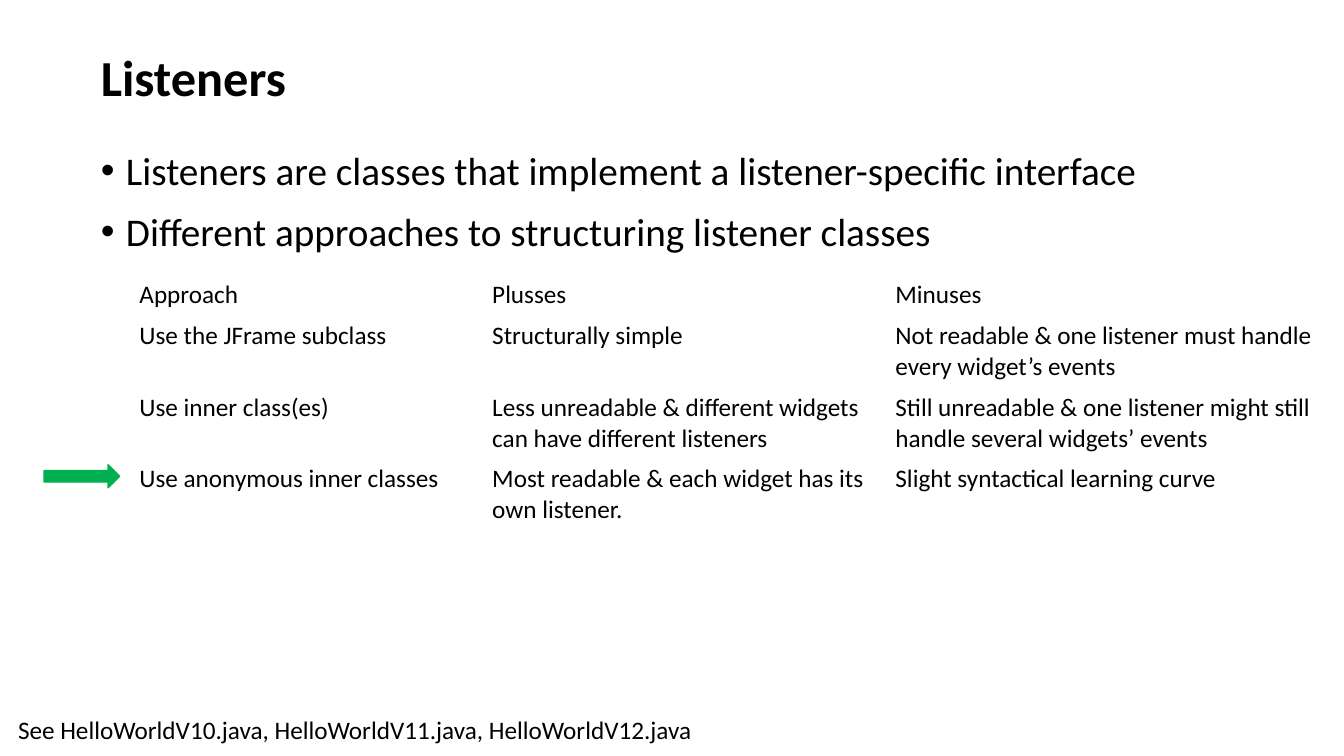
import pptx
import pptx.util
import pptx.dml.color
import pptx.enum.shapes
import pptx.enum.text

Pt = pptx.util.Pt
BLACK = pptx.dml.color.RGBColor(0, 0, 0)
GREEN = pptx.dml.color.RGBColor(0, 176, 80)
FONT = "Calibri"


def write(para, text, size=18, bold=False, before=0, lines=1.0, hang=0):
    para.text = text
    para.alignment = pptx.enum.text.PP_ALIGN.LEFT
    para.space_before = Pt(before)
    para.line_spacing = lines
    for run in para.runs:
        run.font.name = FONT
        run.font.size = Pt(size)
        run.font.bold = bold
        run.font.color.rgb = BLACK
    if hang:
        props = para._p.get_or_add_pPr()
        props.set("marL", str(Pt(hang)))
        props.set("indent", str(-Pt(hang)))


def place(shape, left, top, width, height):
    shape.left, shape.top = Pt(left), Pt(top)
    shape.width, shape.height = Pt(width), Pt(height)


deck = pptx.Presentation()
deck.slide_width, deck.slide_height = Pt(960), Pt(540)
slide = deck.slides.add_slide(deck.slide_layouts[1])

title = slide.shapes.title
place(title, 64.8, 28.8, 828, 57.6)
frame = title.text_frame
frame.auto_size = pptx.enum.text.MSO_AUTO_SIZE.NONE
frame.vertical_anchor = pptx.enum.text.MSO_ANCHOR.MIDDLE
write(frame.paragraphs[0], "Listeners", size=36, bold=True, lines=0.9)

body = slide.placeholders[1]
place(body, 64.8, 100.8, 895.2, 374.4)
frame = body.text_frame
frame.auto_size = pptx.enum.text.MSO_AUTO_SIZE.NONE
points = [
    "Listeners are classes that implement a listener-specific interface",
    "Different approaches to structuring listener classes",
]
for i, point in enumerate(points):
    para = frame.add_paragraph() if i else frame.paragraphs[0]
    write(para, point, size=28, before=10, hang=18)

rows = [
    ("Approach", "Plusses", "Minuses"),
    ("Use the JFrame subclass", "Structurally simple",
     "Not readable & one listener must handle every widget’s events"),
    ("Use inner class(es)",
     "Less unreadable & different widgets can have different listeners",
     "Still unreadable & one listener might still\vhandle several widgets’ events"),
    ("Use anonymous inner classes",
     "Most readable & each widget has its own listener.",
     "Slight syntactical learning curve"),
]
widths = [252, 288, 327.6]
heights = [29.5, 50.4, 50.4, 50.4]
table = slide.shapes.add_table(
    len(rows), len(widths), Pt(92.4), Pt(196), Pt(sum(widths)), Pt(sum(heights))
).table
table.first_row = False
table.horz_banding = False
for col, width in zip(table.columns, widths):
    col.width = Pt(width)
for r, row in enumerate(rows):
    table.rows[r].height = Pt(heights[r])
    for c, text in enumerate(row):
        cell = table.cell(r, c)
        cell.fill.background()
        write(cell.text_frame.paragraphs[0], text)

arrow = slide.shapes.add_shape(
    pptx.enum.shapes.MSO_SHAPE.RIGHT_ARROW, Pt(31.5), Pt(332), Pt(54), Pt(16.5)
)
arrow.shadow.inherit = False
arrow.fill.solid()
arrow.fill.fore_color.rgb = GREEN
arrow.line.color.rgb = GREEN
arrow.line.width = Pt(1)

note = slide.shapes.add_textbox(Pt(5.8), Pt(507), Pt(501), Pt(29))
note.text_frame.word_wrap = False
note.text_frame.auto_size = pptx.enum.text.MSO_AUTO_SIZE.SHAPE_TO_FIT_TEXT
write(note.text_frame.paragraphs[0],
      "See HelloWorldV10.java, HelloWorldV11.java, HelloWorldV12.java")

deck.save("out.pptx")
